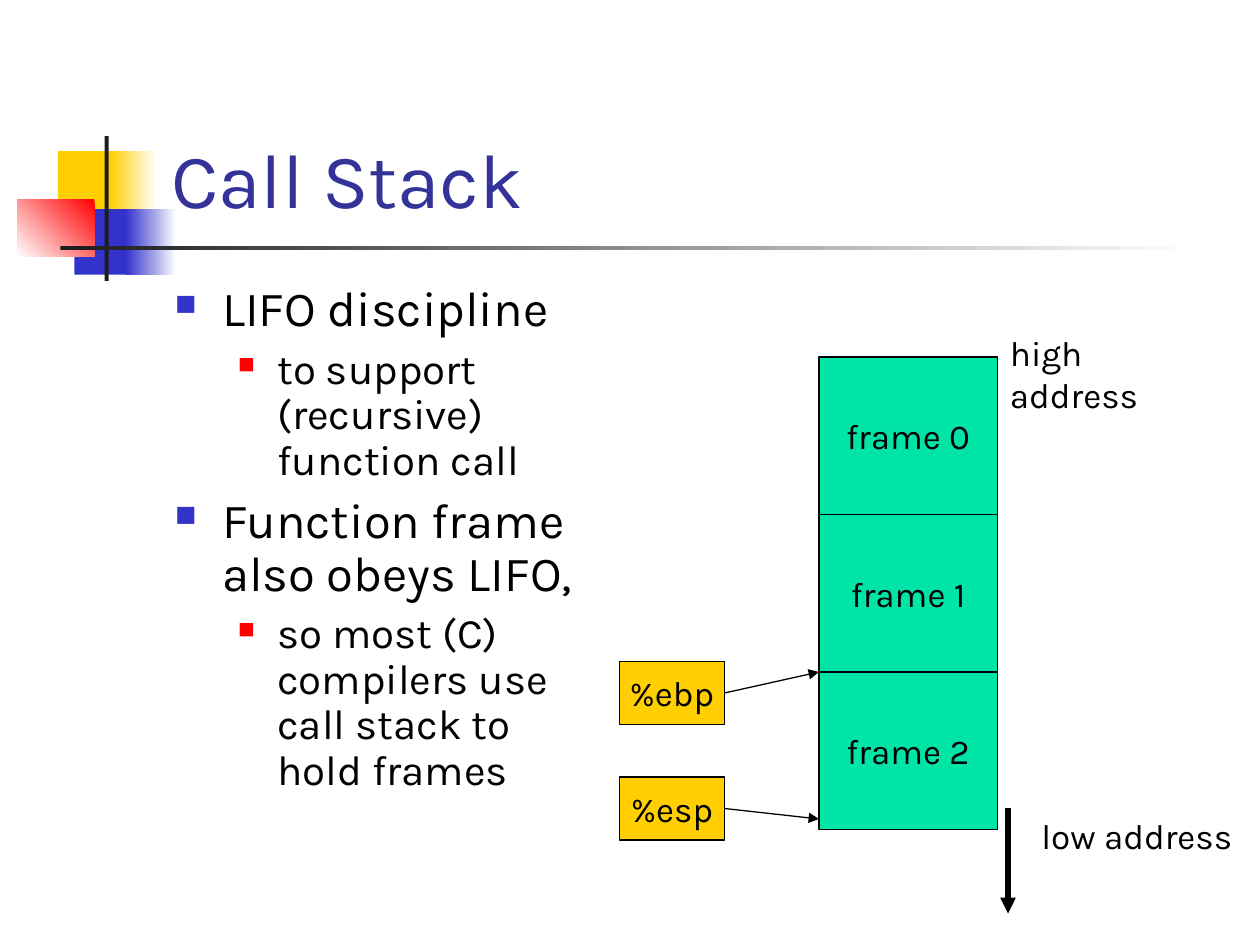
from dataclasses import dataclass
from typing import Optional

import lxml.etree
import pptx
import pptx.dml.color
import pptx.enum.shapes
import pptx.enum.text
import pptx.oxml
import pptx.oxml.ns
import pptx.util

COLUMNS, ROWS = 120, 90
FONT = "Karla"
BLACK, WHITE, GREEN, YELLOW = "000000", "FFFFFF", "00E4A8", "FFCF01"
BLUE, RED, NAVY, CHARCOAL = "3333CC", "FF0000", "333399", "1C1C1C"

deck = pptx.Presentation()
deck.slide_width, deck.slide_height = pptx.util.Inches(10), pptx.util.Inches(7.5)
page = deck.slides.add_slide(deck.slide_layouts[6])


@dataclass
class Area:
    """Left, top, width and height in grid cells."""
    column: float
    row: float
    width: float
    height: float


@dataclass
class Ornament:
    area: Area
    color: str
    fade_to: Optional[str] = None
    angle: float = 0


@dataclass
class Arrow:
    start: tuple[float, float]
    end: tuple[float, float]
    weight: float = 0.75


@dataclass
class Level:
    """Indents in columns; space before and size in points."""
    indent: float
    hanging: float
    space: float
    size: float
    bullet_color: str
    bullet_percent: int


def across(columns: float) -> int:
    return round(columns * deck.slide_width / COLUMNS)


def down(rows: float) -> int:
    return round(rows * deck.slide_height / ROWS)


def place(area: Area) -> tuple[int, int, int, int]:
    return across(area.column), down(area.row), across(area.width), down(area.height)


def rgb(color: str) -> pptx.dml.color.RGBColor:
    return pptx.dml.color.RGBColor.from_string(color)


def write(para, text: str, size: float, color: str = BLACK) -> None:
    span = para.add_run()
    span.text = text
    span.font.name = FONT
    span.font.size = pptx.util.Pt(size)
    span.font.color.rgb = rgb(color)


def add_rectangle(area: Area):
    box = page.shapes.add_shape(pptx.enum.shapes.MSO_SHAPE.RECTANGLE, *place(area))
    box.shadow.inherit = False
    return box


def draw_ornament(ornament: Ornament) -> None:
    box = add_rectangle(ornament.area)
    box.line.fill.background()
    if ornament.fade_to is None:
        box.fill.solid()
        box.fill.fore_color.rgb = rgb(ornament.color)
        return
    box.fill.gradient()
    box.fill.gradient_angle = ornament.angle
    for stop, color in zip(box.fill.gradient_stops, (ornament.color, ornament.fade_to)):
        stop.color.rgb = rgb(color)


def draw_label_box(area: Area, text: str, fill: str) -> None:
    box = add_rectangle(area)
    box.fill.solid()
    box.fill.fore_color.rgb = rgb(fill)
    box.line.color.rgb = rgb(BLACK)
    box.line.width = pptx.util.Pt(0.75)
    frame = box.text_frame
    frame.word_wrap = False
    frame.vertical_anchor = pptx.enum.text.MSO_ANCHOR.MIDDLE
    para = frame.paragraphs[0]
    para.alignment = pptx.enum.text.PP_ALIGN.CENTER
    write(para, text, 20)


def add_text_frame(area: Area):
    frame = page.shapes.add_textbox(*place(area)).text_frame
    frame.word_wrap = True
    return frame


def draw_arrow(arrow: Arrow) -> None:
    (left, top), (right, bottom) = arrow.start, arrow.end
    line = page.shapes.add_connector(
        pptx.enum.shapes.MSO_CONNECTOR.STRAIGHT,
        across(left), down(top), across(right), down(bottom))
    line.line.color.rgb = rgb(BLACK)
    line.line.width = pptx.util.Pt(arrow.weight)
    tail = lxml.etree.SubElement(line.line._get_or_add_ln(), pptx.oxml.ns.qn("a:tailEnd"))
    tail.set("type", "triangle")
    lxml.etree.SubElement(line._element.spPr, pptx.oxml.ns.qn("a:effectLst"))


def add_bullet(para, level: Level) -> None:
    properties = para._p.get_or_add_pPr()
    properties.set("marL", str(across(level.indent)))
    properties.set("indent", str(-across(level.hanging)))
    bullet_color = lxml.etree.SubElement(properties, pptx.oxml.ns.qn("a:buClr"))
    for parent, tag, name, value in (
            (bullet_color, "a:srgbClr", "val", level.bullet_color),
            (properties, "a:buSzPct", "val", str(level.bullet_percent * 1000)),
            (properties, "a:buChar", "char", "■")):
        lxml.etree.SubElement(parent, pptx.oxml.ns.qn(tag)).set(name, value)


def draw_bullets(area: Area, items: list[tuple[int, str]], levels: list[Level]) -> None:
    frame = add_text_frame(area)
    for index, (depth, text) in enumerate(items):
        level = levels[depth]
        para = frame.add_paragraph() if index else frame.paragraphs[0]
        para.level = depth
        para.line_spacing = 0.9
        if index:
            para.space_before = pptx.util.Pt(level.space)
        add_bullet(para, level)
        write(para, text, level.size)


ORNAMENTS = [
    Ornament(Area(5.52, 14.4, 5.76, 6.24), YELLOW),
    Ornament(Area(10.56, 14.4, 4.32, 6.24), YELLOW, WHITE),
    Ornament(Area(7.08, 19.92, 5.52, 6.24), BLUE),
    Ornament(Area(12, 19.92, 4.8, 6.24), BLUE, WHITE),
    Ornament(Area(1.68, 18.96, 7.32, 5.52), RED, WHITE, 225),
    Ornament(Area(9.96, 12.96, 0.4, 13.8), CHARCOAL),
    Ornament(Area(5.76, 23.4, 108, 0.4), CHARCOAL, WHITE),
]
LEVELS = [Level(4.5, 4.5, 7, 28, BLUE, 60), Level(9.75, 3.75, 6, 24, RED, 55)]
BULLETS = [
    (0, "LIFO discipline"),
    (1, "to support (recursive) function call"),
    (0, "Function frame also obeys LIFO,"),
    (1, "so most (C) compilers use call stack to hold frames"),
]
STACK_LEFT, STACK_TOP, FRAME_WIDTH, FRAME_HEIGHT = 78, 34, 17, 15
REGISTERS = [("%ebp", 63, 64), ("%esp", 74, 78)]  # name, box row, row pointed at
REGISTER_LEFT, REGISTER_WIDTH, REGISTER_HEIGHT = 59, 10, 6

for ornament in ORNAMENTS:
    draw_ornament(ornament)

title = add_text_frame(Area(15.12, 2.76, 102.24, 19.2))
title.vertical_anchor = pptx.enum.text.MSO_ANCHOR.BOTTOM
write(title.paragraphs[0], "Call Stack", 44, NAVY)
draw_bullets(Area(15.48, 26.52, 42.48, 54), BULLETS, LEVELS)

for number in range(3):
    top = STACK_TOP + number * FRAME_HEIGHT
    draw_label_box(Area(STACK_LEFT, top, FRAME_WIDTH, FRAME_HEIGHT), f"frame {number}", GREEN)

for name, row, target in REGISTERS:
    draw_label_box(Area(REGISTER_LEFT, row, REGISTER_WIDTH, REGISTER_HEIGHT), name, YELLOW)
    draw_arrow(Arrow((REGISTER_LEFT + REGISTER_WIDTH, row + REGISTER_HEIGHT / 2),
                     (STACK_LEFT, target)))

for text, area in (("high address", Area(95, 31, 22, 9.25)),
                   ("low address", Area(98, 77, 22, 5.25))):
    write(add_text_frame(area).paragraphs[0], text, 20)
draw_arrow(Arrow((96, 77), (96, 87), 3))

deck.save("out.pptx")
